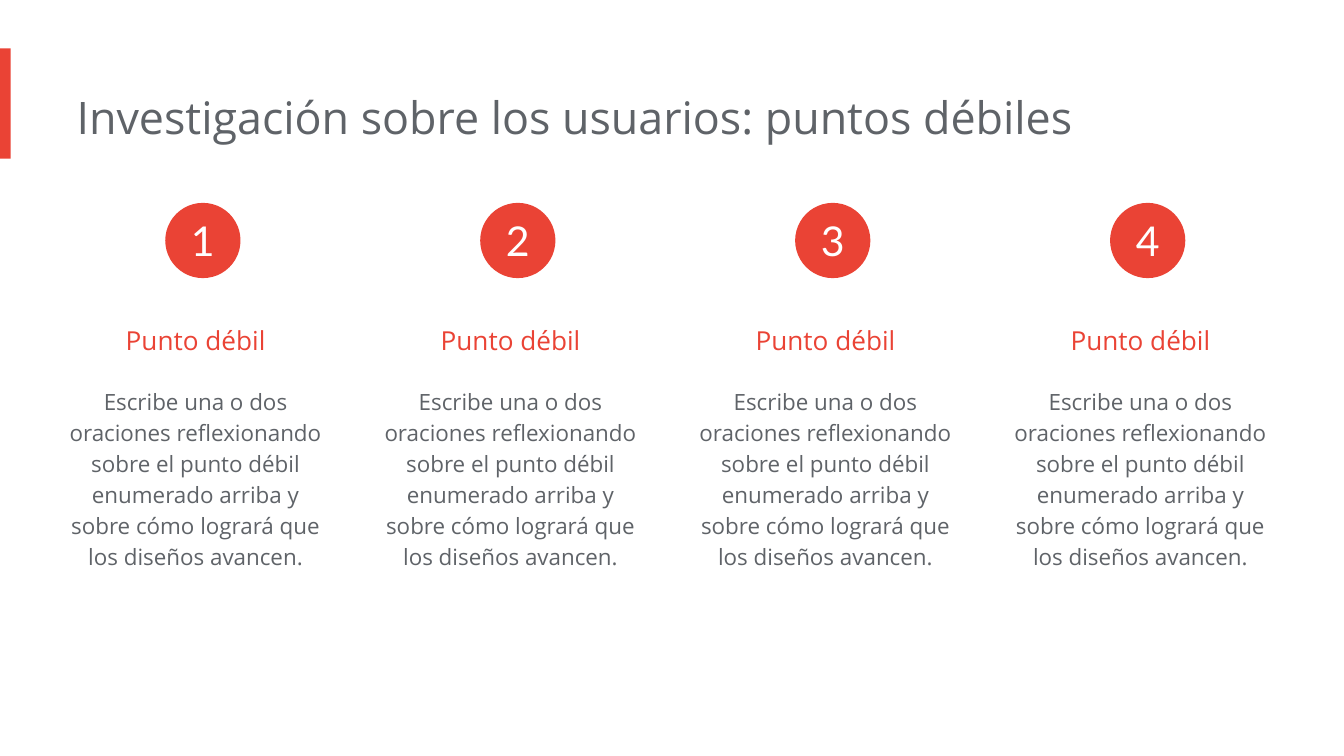
import pptx
import pptx.dml.color
import pptx.enum.shapes
import pptx.enum.text
import pptx.util
from dataclasses import dataclass

Inches = pptx.util.Inches
MSO_SHAPE = pptx.enum.shapes.MSO_SHAPE
PP_ALIGN = pptx.enum.text.PP_ALIGN
MSO_ANCHOR = pptx.enum.text.MSO_ANCHOR
MSO_AUTO_SIZE = pptx.enum.text.MSO_AUTO_SIZE


@dataclass(frozen=True)
class Theme:
    red: str = "EA4335"
    gray: str = "5F6368"
    white: str = "FFFFFF"
    text_font: str = "Open Sans"
    number_font: str = "Lato"
    title_size: int = 24
    number_size: int = 22
    heading_size: int = 14
    body_size: int = 12


theme = Theme()
TEXT_FRAME = {
    "margin_left": 0,
    "margin_top": Inches(0.1),
    "margin_right": Inches(0.1),
    "margin_bottom": Inches(0.1),
    "word_wrap": True,
    "vertical_anchor": MSO_ANCHOR.TOP,
    "auto_size": MSO_AUTO_SIZE.SHAPE_TO_FIT_TEXT,
}
NUMBER_FRAME = {
    "margin_left": 0,
    "margin_top": 0,
    "margin_right": 0,
    "margin_bottom": 0,
    "vertical_anchor": MSO_ANCHOR.MIDDLE,
}


def write_text(shape, text, frame_format, font_name, size, color,
               alignment=PP_ALIGN.CENTER, line_spacing=1.0):
    text_frame = shape.text_frame
    for name, value in frame_format.items():
        setattr(text_frame, name, value)
    text_frame.text = text
    paragraph = text_frame.paragraphs[0]
    paragraph_format = {"alignment": alignment, "line_spacing": line_spacing,
                        "space_before": 0}
    for name, value in paragraph_format.items():
        setattr(paragraph, name, value)
    font = paragraph.runs[0].font
    font_format = {"name": font_name, "size": pptx.util.Pt(size), "bold": False}
    for name, value in font_format.items():
        setattr(font, name, value)
    font.color.rgb = pptx.dml.color.RGBColor.from_string(color)


def add_red_shape(slide, kind, left, top, width, height):
    shape = slide.shapes.add_shape(
        kind, Inches(left), Inches(top), Inches(width), Inches(height))
    shape.shadow.inherit = False
    shape.fill.solid()
    shape.fill.fore_color.rgb = pptx.dml.color.RGBColor.from_string(theme.red)
    shape.line.fill.background()
    return shape


presentation = pptx.Presentation()
presentation.slide_width = Inches(10)
presentation.slide_height = Inches(10 * 9 / 16)
slide = presentation.slides.add_slide(presentation.slide_layouts[5])

add_red_shape(slide, MSO_SHAPE.RECTANGLE, 0, 0.36, 0.08, 0.82)

title = slide.shapes.title
title_place = {"left": 0.57, "top": 0.57, "width": 8.41, "height": 0.61}
for name, value in title_place.items():
    setattr(title, name, Inches(value))
write_text(title, "Investigación sobre los usuarios: puntos débiles", TEXT_FRAME,
           theme.text_font, theme.title_size, theme.gray, PP_ALIGN.LEFT)

HEADING = "Punto débil"
BODY = ("Escribe una o dos oraciones reflexionando sobre el punto débil "
        "enumerado arriba y sobre cómo logrará que los diseños avancen.")
COLUMN_COUNT = 4
FIRST_LEFT, LAST_LEFT, COLUMN_WIDTH = 0.48, 7.51, 2.05
COLUMN_STEP = (LAST_LEFT - FIRST_LEFT) / (COLUMN_COUNT - 1)
CIRCLE_OFFSET, CIRCLE_SIZE = 0.75, 0.56
# text, top, height, type size, color, line spacing
column_texts = [
    (HEADING, 2.2, 0.44, theme.heading_size, theme.red, 1.5),
    (BODY, 2.76, 1.6, theme.body_size, theme.gray, 1.15),
]

for column in range(COLUMN_COUNT):
    left = FIRST_LEFT + column * COLUMN_STEP
    for text, top, height, size, color, line_spacing in column_texts:
        text_box = slide.shapes.add_textbox(
            Inches(left), Inches(top), Inches(COLUMN_WIDTH), Inches(height))
        write_text(text_box, text, TEXT_FRAME, theme.text_font, size, color,
                   line_spacing=line_spacing)
    circle = add_red_shape(slide, MSO_SHAPE.OVAL, left + CIRCLE_OFFSET, 1.51,
                           CIRCLE_SIZE, CIRCLE_SIZE)
    write_text(circle, str(column + 1), NUMBER_FRAME, theme.number_font,
               theme.number_size, theme.white)

presentation.save("out.pptx")
